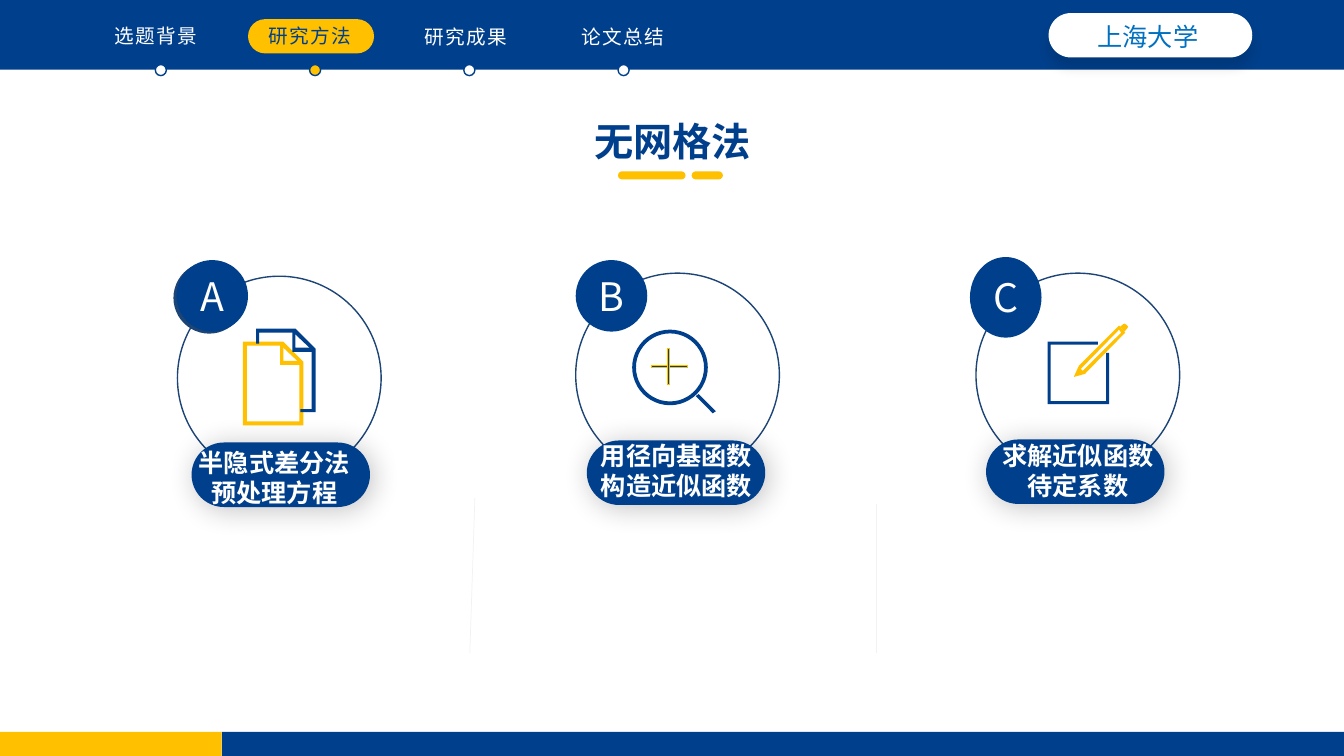
import pptx
import pptx.dml.color
import pptx.enum.shapes
import pptx.enum.text
import pptx.oxml
import pptx.oxml.ns
import pptx.util
from pptx.util import Inches

COLOURS = {"blue": "003F8B", "navy": "1C4476", "gold": "FFC000", "white": "FFFFFF",
           "sky": "0070C0", "mist": "F2F2F2", "black": "000000"}
FONT = "Noto Sans CJK SC"
KINDS = pptx.enum.shapes.MSO_SHAPE
ANCHORS = pptx.enum.text.MSO_ANCHOR
HUNDREDTH = Inches(0.01)

# Icon outlines, in hundredths of an inch
FOLD = [(0, 0), (3, 0), (3, 17), (20, 17), (20, 21), (0, 21)]
FRONT_PAGE = [[(301, 422), (241, 422), (241, 339), (281, 339), (301, 359)],
              [(245, 418), (297, 418), (297, 360), (279, 343), (245, 343)]]
BACK_PAGE = [[(313, 409), (298, 409), (298, 406), (309, 406), (309, 347), (291, 330),
              (257, 330), (257, 341), (254, 341), (254, 326), (293, 326), (313, 346)]]
LENS_HANDLE = [[(707, 410), (690, 393), (693, 391), (710, 408)]]
PEN_CAP = [[(1111, 324), (1115, 329), (1118, 326), (1119, 324), (1117, 322), (1115, 321)]]
PEN_BODY = [[(1065, 374), (1070, 363), (1110, 323), (1116, 330), (1076, 371)],
            [(1072, 366), (1070, 370), (1074, 368), (1112, 330), (1110, 327)]]
PEN_TIP = [[(1075, 369), (1068, 372), (1071, 365)]]
PAPER = [[(1100, 401), (1039, 401), (1039, 339), (1089, 339), (1089, 342), (1042, 342),
          (1042, 398), (1097, 398), (1097, 350), (1100, 350)]]


def colour(name):
    return pptx.dml.color.RGBColor.from_string(COLOURS[name])


def paint(shape, fill=None, line=None, weight=1):
    shape.shadow.inherit = False
    if fill:
        shape.fill.solid()
        shape.fill.fore_color.rgb = colour(fill)
    else:
        shape.fill.background()
    if line:
        shape.line.color.rgb = colour(line)
        shape.line.width = pptx.util.Pt(weight)
    else:
        shape.line.fill.background()


def add_figure(page, kind, place, fill=None, line=None, weight=1):
    shape = page.shapes.add_shape(kind, *map(Inches, place))
    paint(shape, fill, line, weight)
    return shape


def add_pill(page, place, fill):
    pill = add_figure(page, KINDS.ROUNDED_RECTANGLE, place, fill)
    pill.adjustments[0] = 0.5
    return pill


def cast_shadow(shape, opacity, blur, distance, angle):
    """Opacity in percent, blur and distance in points, angle in degrees."""
    effects = shape._element.spPr.find(pptx.oxml.ns.qn("a:effectLst"))
    effects.append(pptx.oxml.parse_xml(
        f'<a:outerShdw {pptx.oxml.ns.nsdecls("a")} blurRad="{blur * 12700}" '
        f'dist="{distance * 12700}" dir="{angle * 60000}" algn="ctr" rotWithShape="0">'
        f'<a:srgbClr val="{COLOURS["black"]}"><a:alpha val="{opacity * 1000}"/></a:srgbClr>'
        '</a:outerShdw>'))


def write(shape, text, size, ink, bold=False, anchor=ANCHORS.TOP, tracking=0):
    frame = shape.text_frame
    frame.word_wrap = True
    frame.auto_size = pptx.enum.text.MSO_AUTO_SIZE.SHAPE_TO_FIT_TEXT
    frame.vertical_anchor = anchor
    para = frame.paragraphs[0]
    para.alignment = pptx.enum.text.PP_ALIGN.CENTER
    span = para.add_run()
    span.text = text
    span.font.size = pptx.util.Pt(size)
    span.font.name = FONT
    span.font.bold = bold
    span.font.color.rgb = colour(ink)
    properties = span.font._element
    east_asian = properties.makeelement(pptx.oxml.ns.qn("a:ea"), {"typeface": FONT})
    properties.find(pptx.oxml.ns.qn("a:latin")).addnext(east_asian)
    if tracking:
        properties.set("spc", str(tracking * 100))
    return frame


def add_text(page, place, *wording, **style):
    box = page.shapes.add_textbox(*map(Inches, place))
    return write(box, *wording, **style)


def add_outline(page, contours, fill):
    builder = page.shapes.build_freeform(*contours[0][0], scale=HUNDREDTH)
    builder.add_line_segments(contours[0][1:])
    for contour in contours[1:]:
        builder.move_to(*contour[0])
        builder.add_line_segments(contour[1:])
    paint(builder.convert_to_shape(), fill)


def add_separator(page, start, end):
    line = page.shapes.add_connector(pptx.enum.shapes.MSO_CONNECTOR.STRAIGHT,
                                     *map(Inches, start + end))
    line.line.color.rgb = colour("mist")
    line.line.width = pptx.util.Pt(0.5)
    properties = line._element.spPr
    properties.append(properties.makeelement(pptx.oxml.ns.qn("a:effectLst"), {}))


def add_frame(page):
    """Header bar with its tabs, and the footer."""
    for place, fill in [((2.2, 7.26, 11.13, 0.25), "blue"), ((0, 7.26, 2.2, 0.25), "gold"),
                        ((0, 0, 13.33, 0.69), "blue")]:
        add_figure(page, KINDS.RECTANGLE, place, fill)
    add_pill(page, (2.46, 0.19, 1.25, 0.34), "gold")
    tabs = [("选题背景", 0.88, 0.19, 1.34), ("研究方法", 2.34, 0.19, 1.47),
            ("研究成果", 3.95, 0.2, 1.34), ("论文总结", 5.43, 0.2, 1.49)]
    for index, (name, left, top, width) in enumerate(tabs):
        active = index == 1
        add_figure(page, KINDS.OVAL, (1.54 + 1.53 * index, 0.64, 0.11, 0.11),
                   "gold" if active else "white", "blue")
        add_text(page, (left, top, width, 0.34), name, 14,
                 "blue" if active else "white", tracking=1)
    cast_shadow(add_pill(page, (10.4, 0.13, 2.02, 0.44), "white"), 11, 8, 8, 90)
    add_text(page, (10.75, 0.16, 1.27, 0.4), "上海大学", 18, "sky")


def add_title(page):
    frame = add_text(page, (3.83, 1.07, 5.68, 0.52), "无网格法", 28, "blue", bold=True)
    frame.margin_left = frame.margin_right = frame.margin_top = frame.margin_bottom = 0
    frame.paragraphs[0].line_spacing = 1.2
    for left, width in [(6.86, 0.31), (6.13, 0.67)]:
        add_pill(page, (left, 1.7, width, 0.08), "gold")


def add_method(page, letter, label, ring, badge, pill, caption):
    add_figure(page, KINDS.OVAL, ring + (2.02, 2.02), line="navy")
    if letter == "A":
        add_figure(page, KINDS.OVAL, (1.72, 2.6, 0.71, 0.71), "navy")
    disc = add_figure(page, KINDS.OVAL, badge, "blue")
    write(disc, letter, 28, "white", anchor=ANCHORS.MIDDLE)
    cast_shadow(add_pill(page, pill + (1.77, 0.64), "blue"), 24, 21, 3, 45)
    add_text(page, caption + (1.78, 0.71), label, 18, "white", bold=True,
             anchor=ANCHORS.MIDDLE)


def add_pages_icon(page):
    for left, top, sheet, fill in [(278, 341, FRONT_PAGE, "gold"),
                                   (290, 328, BACK_PAGE, "blue")]:
        add_outline(page, [[(left + x, top + y) for x, y in FOLD]], fill)
        add_outline(page, sheet, fill)


def add_lens_icon(page):
    lens = add_figure(page, KINDS.DONUT, (6.27, 3.27, 0.75, 0.75), "blue")
    lens.adjustments[0] = 0.05
    for place in [(6.46, 3.63, 0.36, 0.02), (6.62, 3.46, 0.02, 0.36)]:
        add_figure(page, KINDS.RECTANGLE, place, "blue", "gold", 0.75)
    add_outline(page, LENS_HANDLE, "blue")


def add_pen_icon(page):
    for part in (PEN_CAP, PEN_BODY, PEN_TIP):
        add_outline(page, part, "gold")
    add_outline(page, PAPER, "blue")


def main():
    deck = pptx.Presentation()
    deck.slide_width, deck.slide_height = Inches(13.33), Inches(7.5)
    page = deck.slides.add_slide(deck.slide_layouts[6])
    add_frame(page)
    add_title(page)
    add_method(page, "A", "半隐式差分法预处理方程", (1.76, 2.74),
               (1.75, 2.58, 0.71, 0.71), (1.9, 4.39), (1.83, 4.38))
    add_method(page, "B", "用径向基函数构造近似函数", (5.71, 2.71),
               (5.71, 2.58, 0.71, 0.71), (5.82, 4.37), (5.82, 4.31))
    add_method(page, "C", "求解近似函数待定系数", (9.68, 2.71),
               (9.62, 2.55, 0.71, 0.8), (9.78, 4.36), (9.8, 4.31))
    add_separator(page, (4.71, 4.94), (4.66, 6.48))
    add_separator(page, (8.69, 5), (8.69, 6.48))
    add_pages_icon(page)
    add_lens_icon(page)
    add_pen_icon(page)
    deck.save("out.pptx")


if __name__ == "__main__":
    main()
